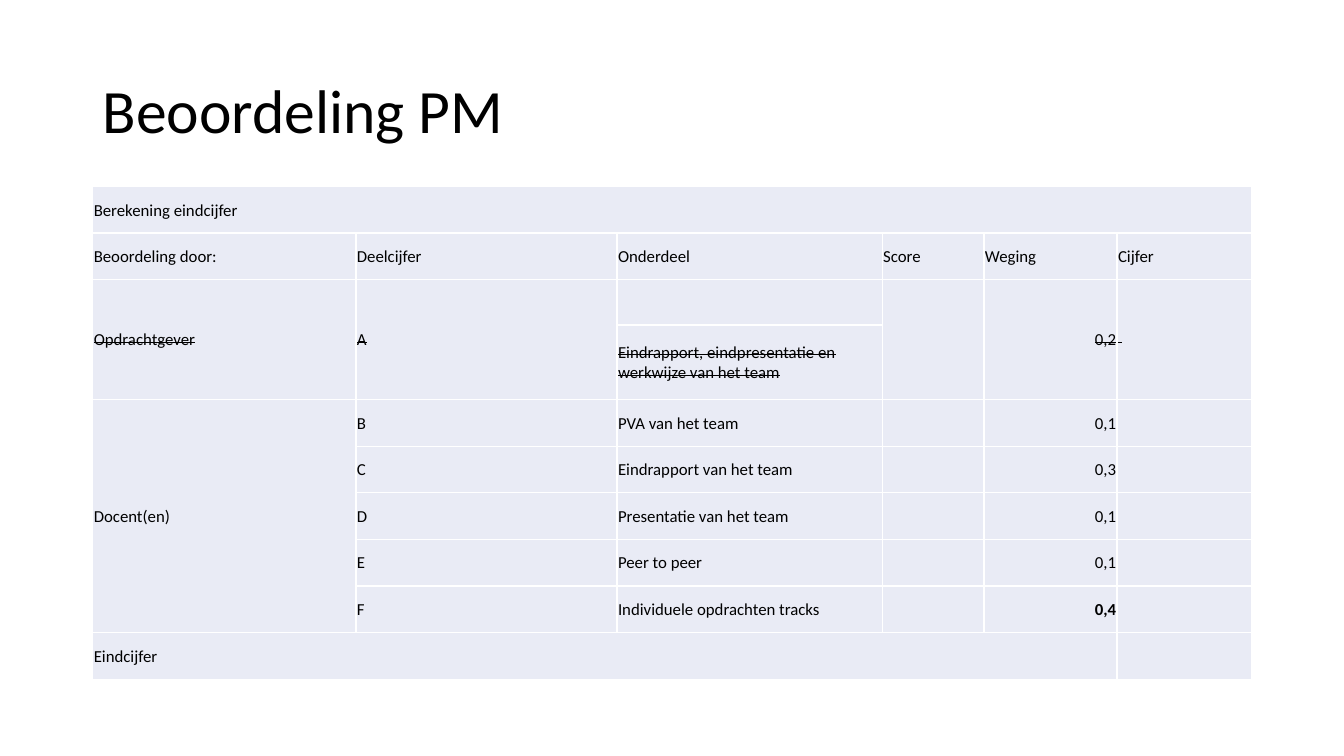
from dataclasses import dataclass

from lxml.etree import SubElement
from pptx import Presentation
from pptx.dml.color import RGBColor as RGB
from pptx.enum.text import MSO_ANCHOR as Anchor, PP_ALIGN as Align
from pptx.oxml.ns import qn
from pptx.table import Table, _Cell as Cell
from pptx.text.text import _Paragraph as Paragraph
from pptx.util import Inches, Pt


@dataclass(frozen=True)
class Theme:
    font: str = "Calibri"
    text: RGB = RGB(0x00, 0x00, 0x00)
    cell: RGB = RGB(0xE9, 0xEB, 0xF5)
    border: str = "FFFFFF"
    title_size: int = 44
    table_size: int = 12


@dataclass(frozen=True)
class Entry:
    row: int
    col: int
    text: str
    rows: int = 1
    cols: int = 1
    strike: bool = False
    bold: bool = False
    align: Align = Align.LEFT


@dataclass(frozen=True)
class Part:
    letter: str
    name: str
    weight: str
    bold: bool = False


THEME = Theme()
LEFT, TABLE_TOP, WIDTH, TABLE_HEIGHT = 0.92, 1.85, 11.5, 4.89
COLUMNS = [2.61, 2.59, 2.63, 1.01, 1.32, 1.33]
ROW_COUNT = 10
CLIENT_ROW, TEACHER_ROW = 2, 4
CLIENT_HEIGHTS = {CLIENT_ROW: 0.45, CLIENT_ROW + 1: 0.74}
ROW_HEIGHT = (TABLE_HEIGHT - sum(CLIENT_HEIGHTS.values())) / (ROW_COUNT - len(CLIENT_HEIGHTS))

HEADINGS = ["Beoordeling door:", "Deelcijfer", "Onderdeel", "Score", "Weging", "Cijfer"]
TEACHER_PARTS = [
    Part("B", "PVA van het team", "0,1"),
    Part("C", "Eindrapport van het team", "0,3"),
    Part("D", "Presentatie van het team", "0,1"),
    Part("E", "Peer to peer", "0,1"),
    Part("F", "Individuele opdrachten tracks", "0,4", bold=True),
]


def table_entries() -> list[Entry]:
    entries = [Entry(0, 0, "Berekening eindcijfer", cols=6)]
    entries += [Entry(1, col, text) for col, text in enumerate(HEADINGS)]
    entries += [
        Entry(CLIENT_ROW, 0, "Opdrachtgever", rows=2, strike=True),
        Entry(CLIENT_ROW, 1, "A", rows=2, strike=True),
        Entry(CLIENT_ROW + 1, 2, "Eindrapport, eindpresentatie en werkwijze van het team", strike=True),
        Entry(CLIENT_ROW, 3, "", rows=2),
        Entry(CLIENT_ROW, 4, "0,2", rows=2, strike=True, align=Align.RIGHT),
        Entry(CLIENT_ROW, 5, " ", rows=2, strike=True),
        Entry(TEACHER_ROW, 0, "Docent(en)", rows=len(TEACHER_PARTS)),
        Entry(ROW_COUNT - 1, 0, "Eindcijfer", cols=5),
    ]
    for row, part in enumerate(TEACHER_PARTS, TEACHER_ROW):
        entries += [
            Entry(row, 1, part.letter),
            Entry(row, 2, part.name),
            Entry(row, 4, part.weight, bold=part.bold, align=Align.RIGHT),
        ]
    return entries


def write(p: Paragraph, text: str, size: int, bold: bool = False, strike: bool = False) -> None:
    r = p.add_run()
    r.text = text
    for name, value in {"name": THEME.font, "size": Pt(size), "bold": bold}.items():
        setattr(r.font, name, value)
    r.font.color.rgb = THEME.text
    if strike:
        r.font._element.set("strike", "sngStrike")


def format_cell(cell: Cell) -> None:
    layout = {
        "margin_left": Inches(0.01),
        "margin_right": Inches(0.01),
        "margin_top": Inches(0.01),
        "margin_bottom": 0,
        "vertical_anchor": Anchor.MIDDLE,
    }
    for name, value in layout.items():
        setattr(cell, name, value)
    tc_pr = cell._tc.get_or_add_tcPr()
    for side in ("lnL", "lnR", "lnT", "lnB"):
        line = SubElement(tc_pr, qn(f"a:{side}"), w=str(Pt(1)))
        SubElement(SubElement(line, qn("a:solidFill")), qn("a:srgbClr"), val=THEME.border)
    cell.fill.solid()
    cell.fill.fore_color.rgb = THEME.cell


def fill_entry(table: Table, entry: Entry) -> None:
    cell = table.cell(entry.row, entry.col)
    if entry.rows * entry.cols > 1:
        cell.merge(table.cell(entry.row + entry.rows - 1, entry.col + entry.cols - 1))
    if entry.text:
        p = cell.text_frame.paragraphs[0]
        p.alignment = entry.align
        write(p, entry.text, THEME.table_size, entry.bold, entry.strike)


def main() -> None:
    prs = Presentation()
    prs.slide_width, prs.slide_height = Inches(13.33), Inches(7.5)
    s = prs.slides.add_slide(prs.slide_layouts[6])

    title = s.shapes.add_textbox(Inches(LEFT), Inches(0.4), Inches(WIDTH), Inches(1.45))
    tf = title.text_frame
    tf.word_wrap = True
    tf.vertical_anchor = Anchor.MIDDLE
    tf.paragraphs[0].line_spacing = 0.9
    write(tf.paragraphs[0], "Beoordeling PM", THEME.title_size)

    table = s.shapes.add_table(
        ROW_COUNT, len(COLUMNS), Inches(LEFT), Inches(TABLE_TOP), Inches(WIDTH), Inches(TABLE_HEIGHT)
    ).table
    table.first_row = table.horz_banding = False
    for column, width in zip(table.columns, COLUMNS):
        column.width = Inches(width)
    for index, row in enumerate(table.rows):
        row.height = Inches(CLIENT_HEIGHTS.get(index, ROW_HEIGHT))
    for cell in table.iter_cells():
        format_cell(cell)
    for entry in table_entries():
        fill_entry(table, entry)

    prs.save("out.pptx")


if __name__ == "__main__":
    main()
